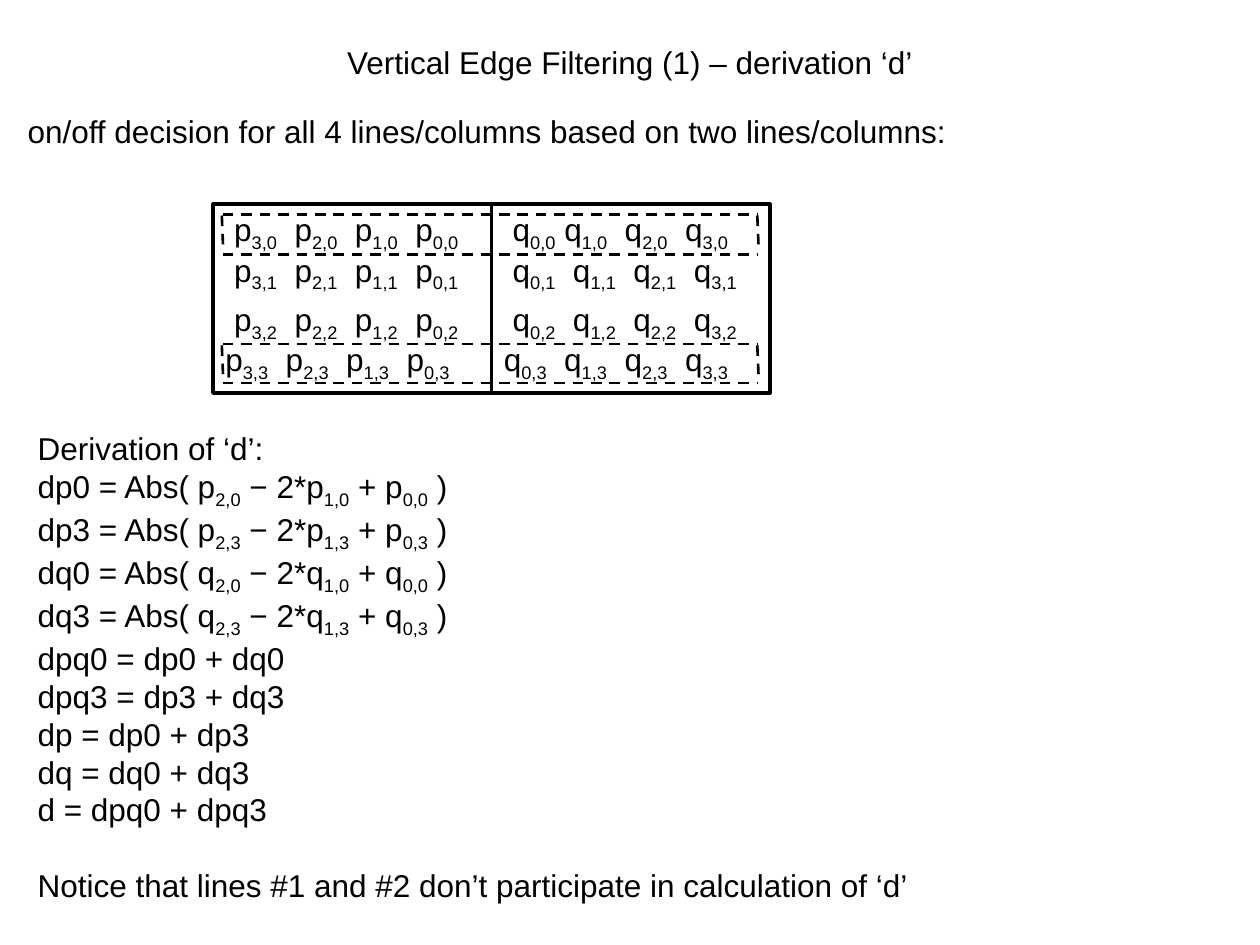
from lxml.etree import SubElement
from pptx import Presentation
from pptx.dml.color import RGBColor
from pptx.enum.dml import MSO_LINE
from pptx.enum.shapes import MSO_CONNECTOR, MSO_SHAPE
from pptx.enum.text import MSO_ANCHOR, PP_ALIGN
from pptx.oxml.ns import qn
from pptx.util import Inches, Pt

COLORS = {"ink": "000000", "paper": "FFFFFF"}
FONT, SIZE = "Arial", 18
TITLE = "Vertical Edge Filtering (1) – derivation ‘d’"
DECISION = "on/off decision for all 4 lines/columns based on two lines/columns:"
DERIVATION = [
    "Derivation of ‘d’:",
    "dp0 = Abs( p{2,0} − 2*p{1,0} + p{0,0} )",
    "dp3 = Abs( p{2,3} − 2*p{1,3} + p{0,3} )",
    "dq0 = Abs( q{2,0} − 2*q{1,0} + q{0,0} )",
    "dq3 = Abs( q{2,3} − 2*q{1,3} + q{0,3} )",
    "dpq0 = dp0 + dq0",
    "dpq3 = dp3 + dq3",
    "dp = dp0 + dp3",
    "dq = dq0 + dq3",
    "d = dpq0 + dpq3",
]
NOTICE = "Notice that lines #1 and #2 don’t participate in calculation of ‘d’"

BLOCKS = [
    ("p", (3, 2, 1, 0), 1.69),
    ("q", (0, 1, 2, 3), 3.9),
]
BLOCK_TOP, BLOCK_WIDTH, BLOCK_HEIGHT = 1.62, 2.21, 1.5
ROWS = [(1.62, 0.07), (1.94, 0.07), (2.33, 0.07), (2.65, 0)]
FRAME_LEFT, FRAME_RIGHT = 1.77, 6.02
FRAMES = [(1.7, 2.02), (2.73, 3.04)]
SIDE_HEIGHT, SIDE_SLANT = 0.24, 0.01

presentation = Presentation()
presentation.slide_width, presentation.slide_height = Inches(10), Inches(7.5)
slide = presentation.slides.add_slide(presentation.slide_layouts[6])


def color(name):
    return RGBColor.from_string(COLORS[name])


def add_text(lines, left, top, width, height, align=PP_ALIGN.LEFT,
             anchor=MSO_ANCHOR.TOP, last_gap=0):
    frame = slide.shapes.add_textbox(
        Inches(left), Inches(top), Inches(width), Inches(height)).text_frame
    frame.word_wrap = True
    frame.vertical_anchor = anchor
    for index, line in enumerate(lines):
        paragraph = frame.add_paragraph() if index else frame.paragraphs[0]
        paragraph.alignment = align
        for part, text in enumerate(line.replace("}", "{").split("{")):
            if not text:
                continue
            run = paragraph.add_run()
            run.text = text
            run.font.name, run.font.size = FONT, Pt(SIZE)
            run.font.color.rgb = color("ink")
            if part % 2:
                run.font._element.set("baseline", "-25000")
    if last_gap:
        paragraph.space_before = Pt(last_gap)


def add_block(left):
    shape = slide.shapes.add_shape(
        MSO_SHAPE.RECTANGLE, Inches(left), Inches(BLOCK_TOP),
        Inches(BLOCK_WIDTH), Inches(BLOCK_HEIGHT))
    shape.shadow.inherit = False
    shape.fill.solid()
    shape.fill.fore_color.rgb = color("paper")
    shape.line.color.rgb = color("ink")
    shape.line.width = Pt(2)


def add_dash(*ends):
    connector = slide.shapes.add_connector(
        MSO_CONNECTOR.STRAIGHT, *(Inches(value) for value in ends))
    connector.line.color.rgb = color("ink")
    connector.line.width = Pt(1.5)
    connector.line.dash_style = MSO_LINE.DASH
    SubElement(connector._element.spPr, qn("a:effectLst"))


add_text([TITLE], 0.5, 0.08, 9, 0.83, align=PP_ALIGN.CENTER,
         anchor=MSO_ANCHOR.MIDDLE)
add_text([DECISION], 0.12, 0.84, 9.21, 0.7)

for letter, columns, left in BLOCKS:
    add_block(left)
    for row, (top, indent) in enumerate(ROWS):
        samples = [f"{letter}{{{column},{row}}}" for column in columns]
        first_gap = " " if (letter, row) == ("q", 0) else "  "
        line = samples[0] + first_gap + "  ".join(samples[1:])
        add_text([line], left + indent, top, 2.19, 0.44)

for top, bottom in FRAMES:
    for y in (top, bottom):
        add_dash(FRAME_LEFT, y, FRAME_RIGHT, y)
    for x in (FRAME_LEFT, FRAME_RIGHT):
        add_dash(x, top + SIDE_HEIGHT, x - SIDE_SLANT, top)

add_text(DERIVATION + [NOTICE], 0.2, 3.36, 9.21, 4.1, last_gap=21.5)

presentation.save("out.pptx")
